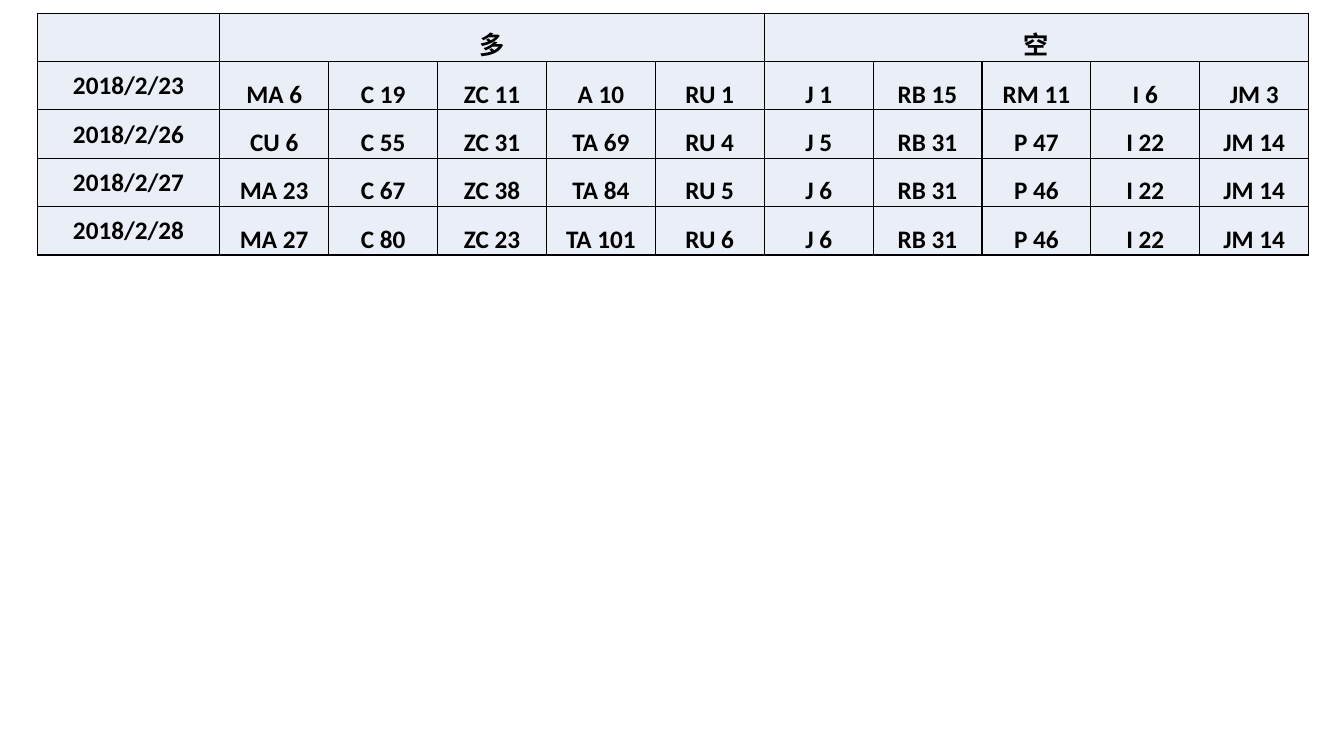
from dataclasses import dataclass
from typing import NamedTuple

from lxml import etree
from pptx import Presentation
from pptx import util as u
from pptx.dml.color import RGBColor
from pptx.enum import text
from pptx.oxml import ns


@dataclass(frozen=True)
class Theme:
    font: str = "Calibri"
    size: int = 18
    ink: str = "000000"
    fill: str = "EAEFF7"
    line: float = 1


@dataclass(frozen=True)
class Grid:
    left: float = 0.37
    top: float = 0.13
    date: float = 1.81
    col: float = 1.08
    row: float = 0.48


class Day(NamedTuple):
    date: str
    long: tuple[str, ...]
    short: tuple[str, ...]


THEME = Theme()
GRID = Grid()
SIDES = ("多", "空")
DAYS = (
    Day("2018/2/23", ("MA 6", "C 19", "ZC 11", "A 10", "RU 1"),
        ("J 1", "RB 15", "RM 11", "I 6", "JM 3")),
    Day("2018/2/26", ("CU 6", "C 55", "ZC 31", "TA 69", "RU 4"),
        ("J 5", "RB 31", "P 47", "I 22", "JM 14")),
    Day("2018/2/27", ("MA 23", "C 67", "ZC 38", "TA 84", "RU 5"),
        ("J 6", "RB 31", "P 46", "I 22", "JM 14")),
    Day("2018/2/28", ("MA 27", "C 80", "ZC 23", "TA 101", "RU 6"),
        ("J 6", "RB 31", "P 46", "I 22", "JM 14")),
)
SPAN = len(DAYS[0].long)


def frame(cell) -> None:
    props = cell._tc.get_or_add_tcPr()
    for spot, side in enumerate("LRTB"):
        line = etree.Element(ns.qn(f"a:ln{side}"), w=str(u.Pt(THEME.line)))
        fill = etree.SubElement(line, ns.qn("a:solidFill"))
        etree.SubElement(fill, ns.qn("a:srgbClr"), val=THEME.ink)
        props.insert(spot, line)


def style(cell, anchor: text.MSO_ANCHOR) -> None:
    cell.fill.solid()
    cell.fill.fore_color.rgb = RGBColor.from_string(THEME.fill)
    cell.vertical_anchor = anchor
    cell.margin_left = cell.margin_right = cell.margin_top = u.Inches(0.01)
    cell.margin_bottom = 0
    para = cell.text_frame.paragraphs[0]
    para.alignment = text.PP_ALIGN.CENTER
    font = para.font
    font.name, font.size, font.bold = THEME.font, u.Pt(THEME.size), True
    font.color.rgb = RGBColor.from_string(THEME.ink)
    frame(cell)


def draw(slide) -> None:
    rows, cols = len(DAYS) + 1, 1 + SPAN * len(SIDES)
    wide = GRID.date + GRID.col * (cols - 1)
    box = [u.Inches(n) for n in (GRID.left, GRID.top, wide, GRID.row * rows)]
    table = slide.shapes.add_table(rows, cols, *box).table
    table.first_row = table.horz_banding = False
    for row in table.rows:
        row.height = u.Inches(GRID.row)
    for c, col in enumerate(table.columns):
        col.width = u.Inches(GRID.col if c else GRID.date)
    for n, side in enumerate(SIDES):
        start = 1 + n * SPAN
        head = table.cell(0, start)
        head.merge(table.cell(0, start + SPAN - 1))
        head.text = side
    for r, day in enumerate(DAYS, 1):
        for c, word in enumerate((day.date, *day.long, *day.short)):
            table.cell(r, c).text = word
    for row in table.rows:
        for c, cell in enumerate(row.cells):
            style(cell, text.MSO_ANCHOR.BOTTOM if c else text.MSO_ANCHOR.MIDDLE)


deck = Presentation()
deck.slide_width, deck.slide_height = u.Inches(13.33), u.Inches(7.5)
draw(deck.slides.add_slide(deck.slide_layouts[6]))
deck.save("out.pptx")
